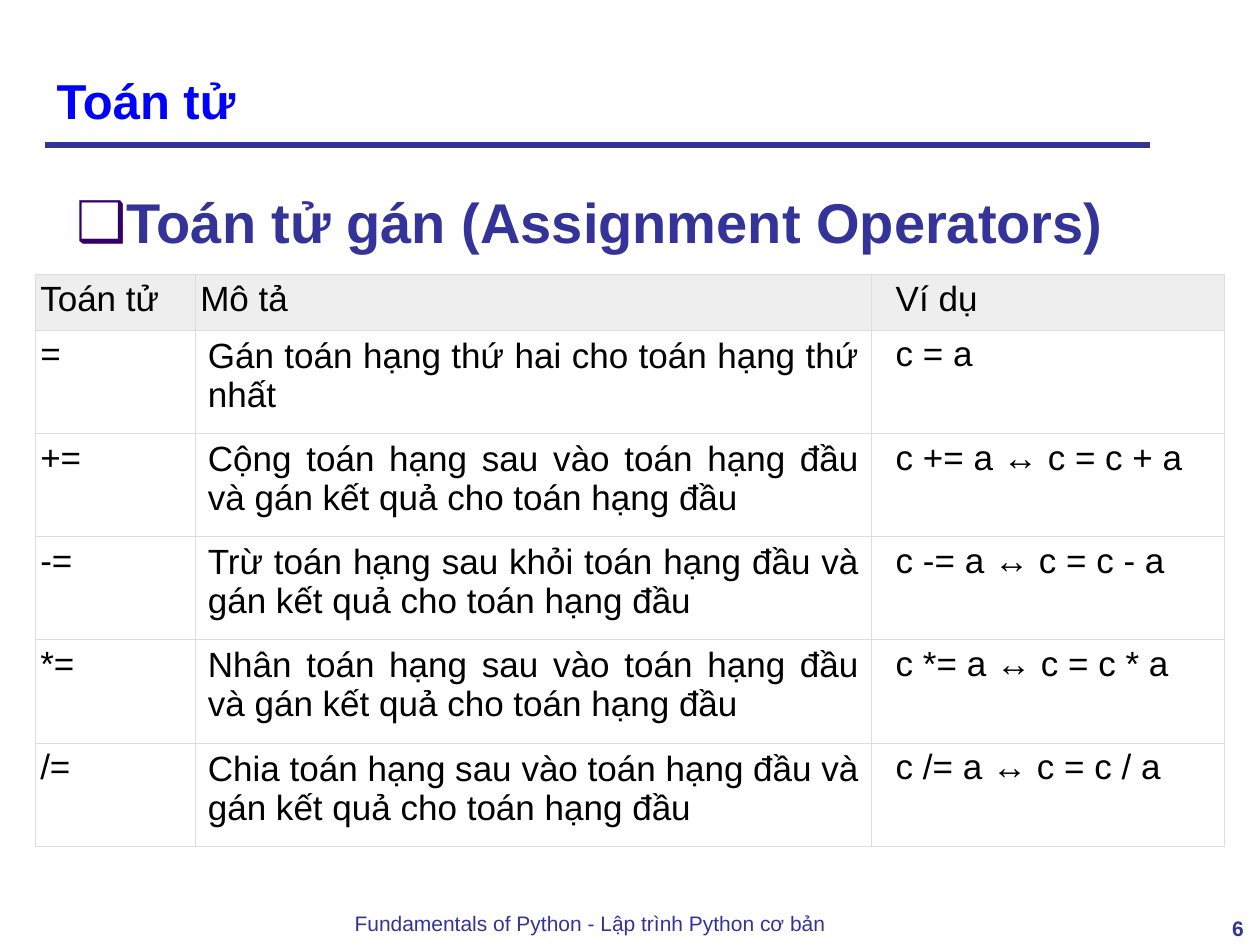
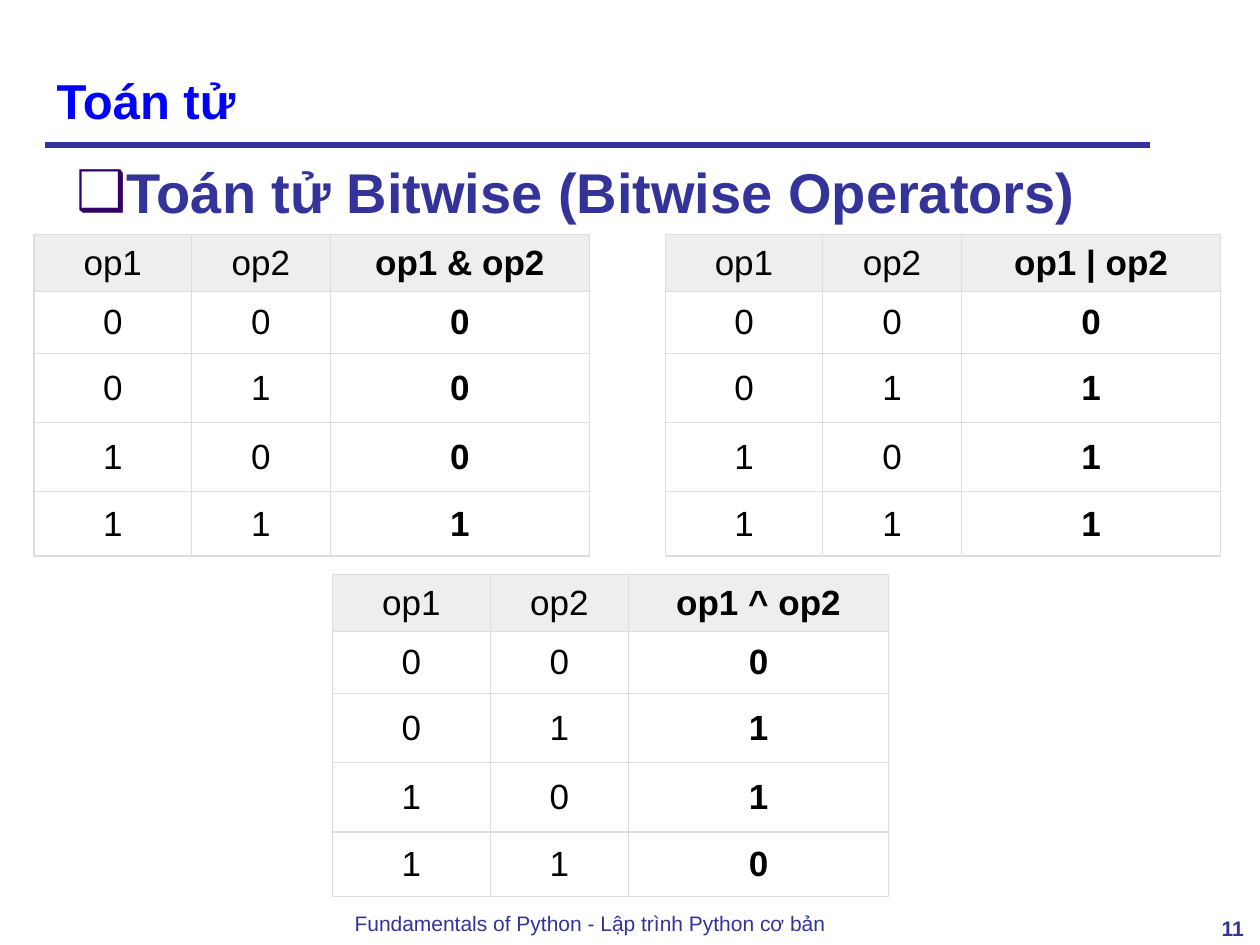
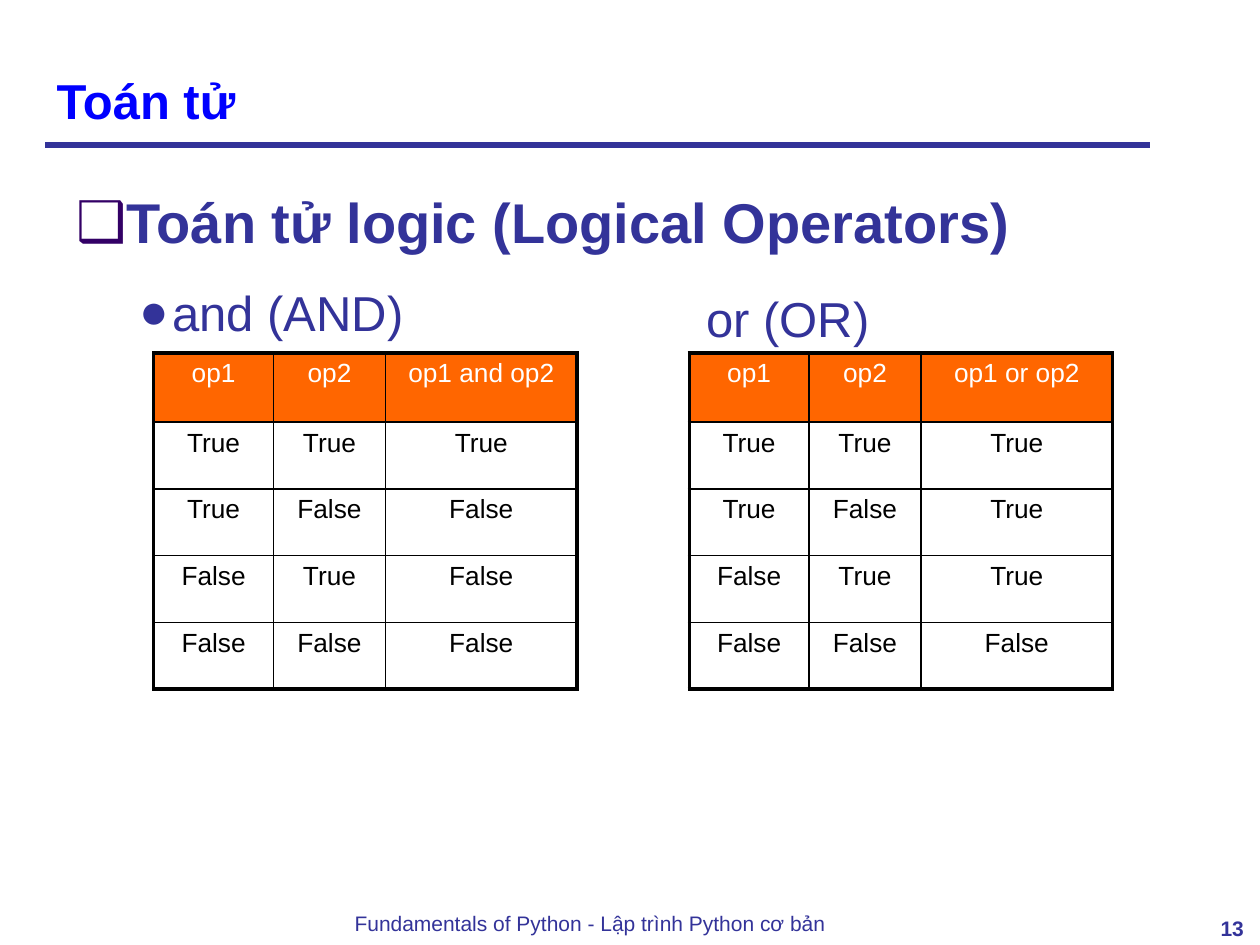
import itertools
from dataclasses import dataclass
from typing import Callable, NamedTuple, Optional

import pptx
import pptx.chart.data
import pptx.dml.color
import pptx.enum.shapes
import pptx.enum.text
import pptx.oxml
import pptx.oxml.ns
import pptx.util
from lxml import etree

Inches = pptx.util.Inches
Pt = pptx.util.Pt
RGBColor = pptx.dml.color.RGBColor
ALIGN = pptx.enum.text.PP_ALIGN
ANCHOR = pptx.enum.text.MSO_ANCHOR

INDIGO = RGBColor(0x33, 0x33, 0x99)
TITLE_BLUE = RGBColor(0x00, 0x00, 0xFF)
BULLET_PURPLE = RGBColor(0x33, 0x00, 0x66)
BLACK = RGBColor(0x00, 0x00, 0x00)
WHITE = RGBColor(0xFF, 0xFF, 0xFF)
ORANGE = RGBColor(0xFF, 0x66, 0x00)
HEADER_GREY = RGBColor(0xEE, 0xEE, 0xEE)
BORDER_GREY = RGBColor(0xDD, 0xDD, 0xDD)

FONT = "Arial"
TITLE = "Toán tử"
FOOTER = "Fundamentals of Python - Lập trình Python cơ bản"
EQUIVALENT = "↔"


class Box(NamedTuple):
    left: float
    top: float
    width: float
    height: float

    def lengths(self) -> list:
        return [Inches(value) for value in self]


class Padding(NamedTuple):
    left: float
    vertical: float
    right: float


TIGHT = Padding(0.04, 0.04, 0.04)
EVEN = Padding(0.06, 0.06, 0.06)
ROOMY = Padding(0.1, 0.05, 0.1)
INDENTED = Padding(0.19, 0.04, 0.04)


@dataclass(frozen=True)
class Bullet:
    symbol: str
    color: RGBColor
    margin: float
    hanging: float


@dataclass(frozen=True)
class Column:
    width: float
    align: ALIGN = ALIGN.CENTER
    padding: Padding = EVEN
    header_padding: Optional[Padding] = None
    bold: bool = False


@dataclass(frozen=True)
class TableStyle:
    columns: tuple
    row_heights: tuple
    size: float
    header_fill: RGBColor
    header_color: RGBColor
    border_color: RGBColor
    inner_border: float
    outer_border: float
    anchor: ANCHOR = ANCHOR.TOP


@dataclass(frozen=True)
class TruthTable:
    left: float
    top: float
    operator: str
    evaluate: Callable
    style: TableStyle


SECTION_BULLET = Bullet("❑", BULLET_PURPLE, 0.38, 0.38)
ITEM_BULLET = Bullet("●", INDIGO, 0.76, 0.26)

ASSIGNMENT_STYLE = TableStyle(
    columns=(
        Column(1.27, ALIGN.LEFT, TIGHT),
        Column(5.37, ALIGN.JUSTIFY, ROOMY, header_padding=TIGHT),
        Column(2.8, ALIGN.LEFT, INDENTED),
    ),
    row_heights=(0.44,) + (0.82,) * 5,
    size=20, header_fill=HEADER_GREY, header_color=BLACK,
    border_color=BORDER_GREY, inner_border=0.75, outer_border=0.75,
)
BITWISE_STYLE = TableStyle(
    columns=(Column(1.25), Column(1.1), Column(2.06, bold=True)),
    row_heights=(0.45, 0.49, 0.55, 0.55, 0.51),
    size=20, header_fill=HEADER_GREY, header_color=BLACK,
    border_color=BORDER_GREY, inner_border=0.75, outer_border=0.75,
    anchor=ANCHOR.MIDDLE,
)
LOGIC_STYLE = TableStyle(
    columns=tuple(Column(width, padding=ROOMY) for width in (0.95, 0.89, 1.52)),
    row_heights=(0.55,) + (0.53,) * 4,
    size=15, header_fill=ORANGE, header_color=WHITE,
    border_color=BLACK, inner_border=1, outer_border=2.25,
)

ASSIGNMENT_ROWS = (
    ("Toán tử", "Mô tả", "Ví dụ"),
    ("=", "Gán toán hạng thứ hai cho toán hạng thứ nhất", "c = a"),
    ("+=", "Cộng toán hạng sau vào toán hạng đầu và gán kết quả cho toán hạng đầu",
     "c += a ↔ c = c + a"),
    ("-=", "Trừ toán hạng sau khỏi toán hạng đầu và gán kết quả cho toán hạng đầu",
     "c -= a ↔ c = c - a"),
    ("*=", "Nhân toán hạng sau vào toán hạng đầu và gán kết quả cho toán hạng đầu",
     "c *= a ↔ c = c * a"),
    ("/=", "Chia toán hạng sau vào toán hạng đầu và gán kết quả cho toán hạng đầu",
     "c /= a ↔ c = c / a"),
)
BITWISE_TABLES = (
    TruthTable(0.27, 1.86, "&", lambda a, b: a & b, BITWISE_STYLE),
    TruthTable(2.64, 4.56, "^", lambda a, b: a ^ b, BITWISE_STYLE),
    TruthTable(5.28, 1.86, "|", lambda a, b: a | b, BITWISE_STYLE),
)
LOGIC_TABLES = (
    TruthTable(1.22, 2.8, "and", lambda a, b: a and b, LOGIC_STYLE),
    TruthTable(5.47, 2.8, "or", lambda a, b: a or b, LOGIC_STYLE),
)


def add_xml(parent, tag: str, **attributes):
    child = etree.SubElement(parent, pptx.oxml.ns.qn(tag))
    for name, value in attributes.items():
        child.set(name, str(value))
    return child


def write_text(paragraph, text: str, *, size: float, color: RGBColor,
               bold: bool = False, align: ALIGN = ALIGN.LEFT,
               line_spacing: Optional[float] = None, space_before: float = 0,
               bullet: Optional[Bullet] = None) -> None:
    """Fill a paragraph; the equivalence arrow is always bold."""
    paragraph.alignment = align
    paragraph.space_before = Pt(space_before)
    if line_spacing:
        paragraph.line_spacing = line_spacing
    if bullet:
        set_bullet(paragraph, bullet)
    for piece in filter(None, text.partition(EQUIVALENT)):
        run = paragraph.add_run()
        run.text = piece
        run.font.name = FONT
        run.font.size = Pt(size)
        run.font.bold = bold or piece == EQUIVALENT
        run.font.color.rgb = color


def set_bullet(paragraph, bullet: Bullet) -> None:
    properties = paragraph._p.get_or_add_pPr()
    properties.set("marL", str(Inches(bullet.margin)))
    properties.set("indent", str(-Inches(bullet.hanging)))
    add_xml(add_xml(properties, "a:buClr"), "a:srgbClr", val=bullet.color)
    add_xml(properties, "a:buFont", typeface=FONT)
    add_xml(properties, "a:buChar", char=bullet.symbol)


def add_text_frame(slide, box: Box):
    frame = slide.shapes.add_textbox(*box.lengths()).text_frame
    frame.word_wrap = True
    return frame


def add_base_slide(deck, number: int):
    """Add a slide with the shared title, rule, footer and number."""
    slide = deck.slides.add_slide(deck.slide_layouts[5])

    title = slide.shapes.title
    title.left, title.top, title.width, title.height = Box(0.35, 0.21, 8.66, 0.87).lengths()
    title.text_frame.vertical_anchor = ANCHOR.BOTTOM
    title.text_frame.auto_size = pptx.enum.text.MSO_AUTO_SIZE.NONE
    write_text(title.text_frame.paragraphs[0], TITLE, size=28, color=TITLE_BLUE, bold=True)

    rule = slide.shapes.add_connector(
        pptx.enum.shapes.MSO_CONNECTOR.STRAIGHT,
        Inches(0.36), Inches(1.15), Inches(9.13), Inches(1.15))
    rule.line.color.rgb = INDIGO
    rule.line.width = Pt(3)
    add_xml(rule._element.spPr, "a:effectLst")

    footer = add_text_frame(slide, Box(0.55, 7.18, 8.27, 0.24))
    write_text(footer.paragraphs[0], FOOTER, size=12, color=INDIGO, align=ALIGN.CENTER)
    page = add_text_frame(slide, Box(9.18, 7.22, 0.79, 0.24))
    write_text(page.paragraphs[0], str(number), size=12, color=INDIGO, bold=True,
               align=ALIGN.RIGHT)
    return slide


def add_section(slide, heading: str, top: float = 1.31):
    body = add_text_frame(slide, Box(0.51, top, 8.66, 5.67))
    write_text(body.paragraphs[0], heading, size=32, color=INDIGO, bold=True,
               line_spacing=1.25, bullet=SECTION_BULLET)
    return body


def set_borders(cell, color: RGBColor, widths: dict) -> None:
    properties = cell._tc.get_or_add_tcPr()
    for side, width in widths.items():
        line = add_xml(properties, f"a:ln{side}", w=Pt(width))
        add_xml(add_xml(line, "a:solidFill"), "a:srgbClr", val=color)


def add_styled_table(slide, left: float, top: float, rows, style: TableStyle) -> None:
    last_row, last_column = len(rows) - 1, len(style.columns) - 1
    box = Box(left, top, sum(column.width for column in style.columns),
              sum(style.row_heights))
    table = slide.shapes.add_table(len(rows), len(style.columns), *box.lengths()).table
    table.first_row = table.horz_banding = False
    for grid_column, column in zip(table.columns, style.columns):
        grid_column.width = Inches(column.width)
    for grid_row, height in zip(table.rows, style.row_heights):
        grid_row.height = Inches(height)

    for r, values in enumerate(rows):
        is_header = r == 0
        for c, (value, column) in enumerate(zip(values, style.columns)):
            cell = table.cell(r, c)
            padding = (is_header and column.header_padding) or column.padding
            cell.margin_left = Inches(padding.left)
            cell.margin_right = Inches(padding.right)
            cell.margin_top = cell.margin_bottom = Inches(padding.vertical)
            cell.vertical_anchor = style.anchor
            on_edge = {"L": c == 0, "R": c == last_column, "T": is_header, "B": r == last_row}
            set_borders(cell, style.border_color, {
                side: style.outer_border if edge else style.inner_border
                for side, edge in on_edge.items()})
            if is_header:
                cell.fill.solid()
                cell.fill.fore_color.rgb = style.header_fill
            else:
                cell.fill.background()
            write_text(cell.text_frame.paragraphs[0], str(value), size=style.size,
                       color=style.header_color if is_header else BLACK,
                       bold=column.bold, align=column.align)


def add_truth_table(slide, truth: TruthTable, operands: tuple) -> None:
    rows = [("op1", "op2", f"op1 {truth.operator} op2")]
    rows += [(a, b, truth.evaluate(a, b)) for a, b in itertools.product(operands, repeat=2)]
    add_styled_table(slide, truth.left, truth.top, rows, truth.style)


def add_assignment_slide(deck) -> None:
    slide = add_base_slide(deck, 6)
    add_section(slide, "Toán tử gán (Assignment Operators)")
    add_styled_table(slide, 0.28, 2.18, ASSIGNMENT_ROWS, ASSIGNMENT_STYLE)


def add_bitwise_slide(deck) -> None:
    slide = add_base_slide(deck, 11)
    add_section(slide, "Toán tử Bitwise (Bitwise Operators)", top=1.07)
    for truth in BITWISE_TABLES:
        add_truth_table(slide, truth, (0, 1))


def add_logic_slide(deck) -> None:
    slide = add_base_slide(deck, 13)
    body = add_section(slide, "Toán tử logic (Logical Operators)")
    write_text(body.add_paragraph(), "and (AND)", size=28, color=INDIGO,
               line_spacing=1.25, space_before=7, bullet=ITEM_BULLET)
    or_label = add_text_frame(slide, Box(5.51, 2.24, 3, 0.53))
    write_text(or_label.paragraphs[0], "or (OR)", size=28, color=INDIGO)
    for truth in LOGIC_TABLES:
        add_truth_table(slide, truth, (True, False))


def main() -> None:
    deck = pptx.Presentation()
    deck.slide_width, deck.slide_height = Inches(10), Inches(7.5)
    add_assignment_slide(deck)
    add_bitwise_slide(deck)
    add_logic_slide(deck)
    deck.save("out.pptx")


if __name__ == "__main__":
    main()
